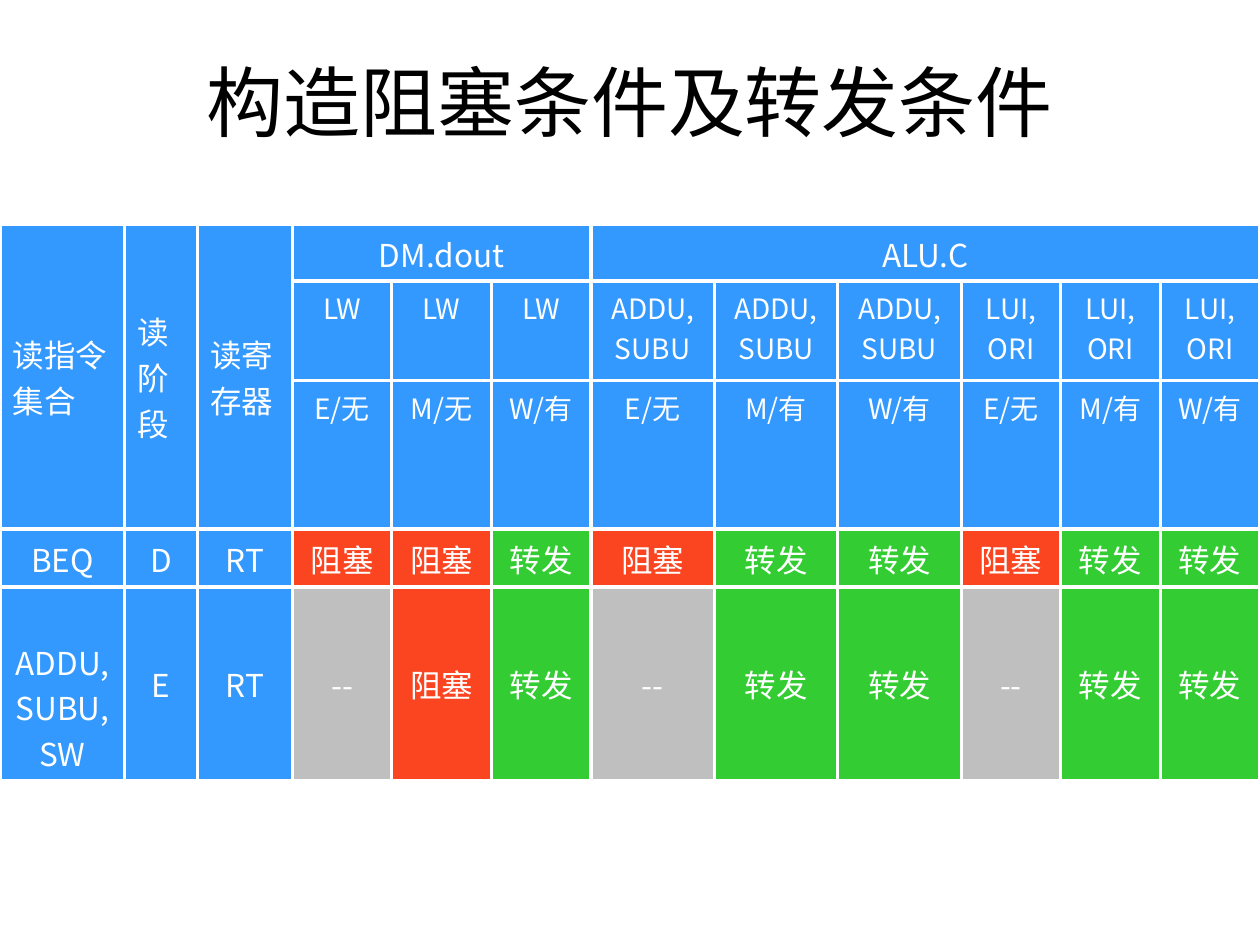
"""Build a slide with a pipeline table of stall and forward conditions."""
from dataclasses import dataclass

from lxml import etree
from pptx import Presentation
from pptx.dml.color import RGBColor
from pptx.enum import text as t
from pptx.oxml import ns
from pptx.util import Inches, Pt

WHITE, BLUE, RED, GREEN, GREY = "FFFFFF", "3399FF", "FB4521", "33CC33", "BFBFBF"
CJK_FONT = "Noto Sans CJK SC"
OUTCOME_FILLS = {"阻塞": RED, "转发": GREEN, "--": GREY}
COLUMN_WIDTHS = [0.99, 0.58, 0.75] + [0.79] * 3 + [0.98] * 3 + [0.79] * 3
ROW_HEIGHTS = [0.45, 0.79, 1.18, 0.46, 1.54]
READ_HEADERS = ["读指令集合", "读阶段", "读寄存器"]


@dataclass
class WriteGroup:
    instructions: str
    stages: list[str]


@dataclass
class ReadRow:
    labels: list[str]
    outcomes: list[str]
    margin_top: float = 0.05


WRITE_GROUPS = [
    WriteGroup("LW", ["E/无", "M/无", "W/有"]),
    WriteGroup("ADDU, SUBU", ["E/无", "M/有", "W/有"]),
    WriteGroup("LUI, ORI", ["E/无", "M/有", "W/有"]),
]
READ_ROWS = [
    ReadRow(["BEQ", "D", "RT"],
            ["阻塞", "阻塞", "转发"] + ["阻塞", "转发", "转发"] * 2),
    ReadRow(["ADDU, SUBU, SW", "E", "RT"],
            ["--", "阻塞", "转发"] + ["--", "转发", "转发"] * 2, margin_top=0.41),
]


def colour(value: str) -> RGBColor:
    return RGBColor.from_string(value)


def write(frame, content: str, *, size: float = 18, font: str = CJK_FONT,
          color: str = WHITE, align=t.PP_ALIGN.CENTER) -> None:
    paragraph = frame.paragraphs[0]
    paragraph.alignment = align
    run = paragraph.add_run()
    run.text = content
    run.font.size = Pt(size)
    run.font.name = font
    run.font.color.rgb = colour(color)
    east_asian = etree.SubElement(run.font._element, ns.qn("a:ea"))
    east_asian.set("typeface", CJK_FONT)


def style_cell(cell, fill: str = BLUE) -> None:
    cell.fill.solid()
    cell.fill.fore_color.rgb = colour(fill)
    properties = cell._tc.get_or_add_tcPr()
    for index, side in enumerate(("lnL", "lnR", "lnT", "lnB")):
        line = etree.Element(ns.qn(f"a:{side}"), w=str(Pt(2.25)))
        solid = etree.SubElement(line, ns.qn("a:solidFill"))
        etree.SubElement(solid, ns.qn("a:srgbClr"), val=WHITE)
        properties.insert(index, line)


def fill_cell(cell, content: str, *, anchor=t.MSO_ANCHOR.MIDDLE, **text_format) -> None:
    cell.vertical_anchor = anchor
    write(cell.text_frame, content, **text_format)


def add_title(slide) -> None:
    title = slide.shapes.add_textbox(Inches(0.75), Inches(0.17), Inches(8.5), Inches(1.25))
    title.text_frame.word_wrap = True
    title.text_frame.vertical_anchor = t.MSO_ANCHOR.MIDDLE
    write(title.text_frame, "构造阻塞条件及转发条件", size=44,
          font="Times New Roman", color="000000")


def add_headers(table) -> None:
    for column, label in enumerate(READ_HEADERS):
        table.cell(0, column).merge(table.cell(2, column))
        fill_cell(table.cell(0, column), label, align=t.PP_ALIGN.LEFT)
    for label, first, last in (("DM.dout", 3, 5), ("ALU.C", 6, 11)):
        table.cell(0, first).merge(table.cell(0, last))
        fill_cell(table.cell(0, first), label)
    columns = [(group.instructions, stage) for group in WRITE_GROUPS for stage in group.stages]
    for column, labels in enumerate(columns, start=3):
        for row, label in enumerate(labels, start=1):
            fill_cell(table.cell(row, column), label, anchor=t.MSO_ANCHOR.TOP, size=16)


def add_read_rows(table) -> None:
    for row, read in enumerate(READ_ROWS, start=3):
        for column, label in enumerate(read.labels + read.outcomes):
            fill_cell(table.cell(row, column), label)
        table.cell(row, 0).margin_top = Inches(read.margin_top)


def add_condition_table(slide) -> None:
    frame = slide.shapes.add_table(
        len(ROW_HEIGHTS), len(COLUMN_WIDTHS), Inches(0), Inches(1.78),
        Inches(sum(COLUMN_WIDTHS)), Inches(sum(ROW_HEIGHTS)))
    table = frame.table
    table.first_row = table.horz_banding = False
    for column, width in zip(table.columns, COLUMN_WIDTHS):
        column.width = Inches(width)
    for row, height in zip(table.rows, ROW_HEIGHTS):
        row.height = Inches(height)
    add_headers(table)
    add_read_rows(table)
    for cell in table.iter_cells():
        style_cell(cell, OUTCOME_FILLS.get(cell.text_frame.text, BLUE))


def main() -> None:
    presentation = Presentation()
    presentation.slide_width, presentation.slide_height = Inches(10), Inches(7.5)
    slide = presentation.slides.add_slide(presentation.slide_layouts[6])
    add_title(slide)
    add_condition_table(slide)
    presentation.save("out.pptx")


main()
